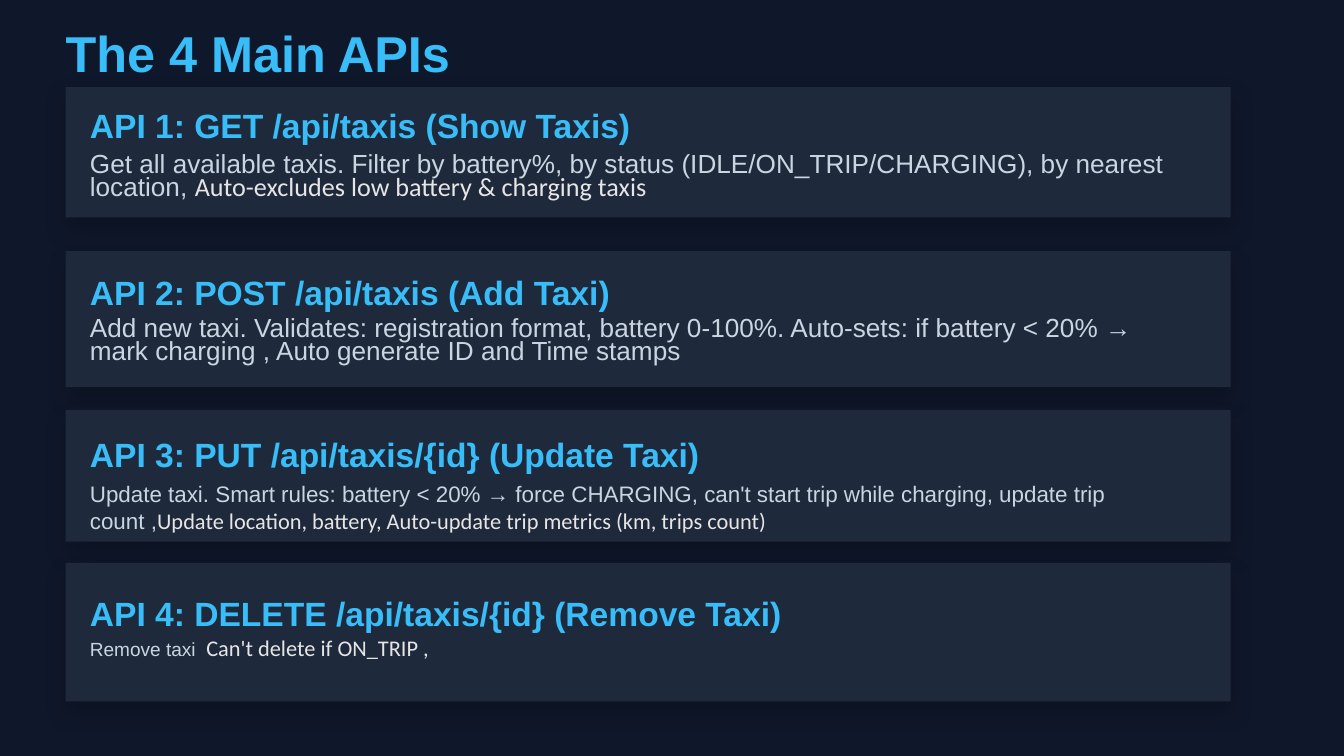
from lxml import etree
from pptx import Presentation, util as u
from pptx.dml.color import RGBColor
from pptx.enum import shapes, text
from pptx.oxml import ns

NAVY, SLATE, SKY, SILVER, PALE = "0F172A", "1E293B", "38BDF8", "CBD5E1", "E7E6E6"

TITLE = "The 4 Main APIs"

# Each API: card top and height, heading top, detail top (cm), line spacing (pt),
# heading, detail runs as (words, size, font, colour)
APIS = [
    (1.65, 2.46, 1.73, 2.95, 12.2, "API 1: GET /api/taxis (Show Taxis)", [
        ("Get all available taxis. Filter by battery%, by status "
         "(IDLE/ON_TRIP/CHARGING), by nearest location, ", 14, "Arial", SILVER),
        ("Auto-excludes low battery & charging taxis", 14, "Calibri", PALE)]),
    (4.75, 2.57, 4.88, 6.05, 12.2, "API 2: POST /api/taxis (Add Taxi)", [
        ("Add new taxi. Validates: registration format, battery 0-100%. "
         "Auto-sets: if battery < 20% → mark charging , "
         "Auto generate ID and Time stamps", 14, "Arial", SILVER)]),
    (7.75, 2.49, 7.95, 9.07, None, "API 3: PUT /api/taxis/{id} (Update Taxi)", [
        ("Update taxi. Smart rules: battery < 20% → force CHARGING, can't start "
         "trip while charging, update trip count ,", 12, "Arial", SILVER),
        ("Update location, battery, Auto-update trip metrics (km, trips count)",
         12, "Calibri", PALE)]),
    (10.64, 2.62, 10.95, 12.07, 12.2, "API 4: DELETE /api/taxis/{id} (Remove Taxi)", [
        ("Remove taxi  ", 10.2, "Arial", SILVER),
        ("Can't delete if ON_TRIP ,", 12, "Calibri", PALE)]),
]

CARD_LEFT, CARD_WIDTH = 1.24, 22.02
TEXT_LEFT, TEXT_WIDTH = 1.7, 20.73


def rgb(value):
    return RGBColor.from_string(value)


def add_soft_shadow(shape):
    """Black at 20 %, 12 pt blur, 6 pt straight down."""
    effects = etree.SubElement(shape._element.spPr, ns.qn("a:effectLst"))
    shadow = etree.SubElement(effects, ns.qn("a:outerShdw"), blurRad=str(u.Pt(12)),
                              dist=str(u.Pt(6)), dir="5400000", algn="ctr",
                              rotWithShape="0")
    colour = etree.SubElement(shadow, ns.qn("a:srgbClr"), val="000000")
    etree.SubElement(colour, ns.qn("a:alpha"), val="20000")


def add_card(slide, top, height):
    card = slide.shapes.add_shape(shapes.MSO_SHAPE.RECTANGLE, u.Cm(CARD_LEFT),
                                  u.Cm(top), u.Cm(CARD_WIDTH), u.Cm(height))
    card.fill.solid()
    card.fill.fore_color.rgb = rgb(SLATE)
    card.line.fill.background()
    add_soft_shadow(card)


def add_text(slide, left, top, width, height, runs, spacing=None, bold=False):
    frame = slide.shapes.add_textbox(u.Cm(left), u.Cm(top), u.Cm(width),
                                     u.Cm(height)).text_frame
    frame.word_wrap = True
    frame.vertical_anchor = text.MSO_ANCHOR.TOP
    frame.margin_left = frame.margin_right = 0
    frame.margin_top = frame.margin_bottom = 0
    paragraph = frame.paragraphs[0]
    if spacing:
        paragraph.line_spacing = u.Pt(spacing)
    for words, size, font, colour in runs:
        run = paragraph.add_run()
        run.text = words
        run.font.size = u.Pt(size)
        run.font.name = font
        run.font.bold = bold
        run.font.color.rgb = rgb(colour)


def main():
    deck = Presentation()
    deck.slide_width, deck.slide_height = u.Cm(25.4), u.Cm(14.29)
    slide = deck.slides.add_slide(deck.slide_layouts[6])
    slide.background.fill.solid()
    slide.background.fill.fore_color.rgb = rgb(NAVY)

    for top, height, *_ in APIS:
        add_card(slide, top, height)

    add_text(slide, CARD_LEFT, 0.03, 22.45, 1.14,
             [(TITLE, 27, "Arial", SKY)], 43.2, bold=True)
    for _, _, heading_top, detail_top, spacing, heading, detail in APIS:
        add_text(slide, TEXT_LEFT, heading_top, TEXT_WIDTH, 0.76,
                 [(heading, 18, "Arial", SKY)], 28.8, bold=True)
        add_text(slide, TEXT_LEFT, detail_top, TEXT_WIDTH,
                 0.41 if spacing else 0.64, detail, spacing)

    deck.save("out.pptx")


if __name__ == "__main__":
    main()
